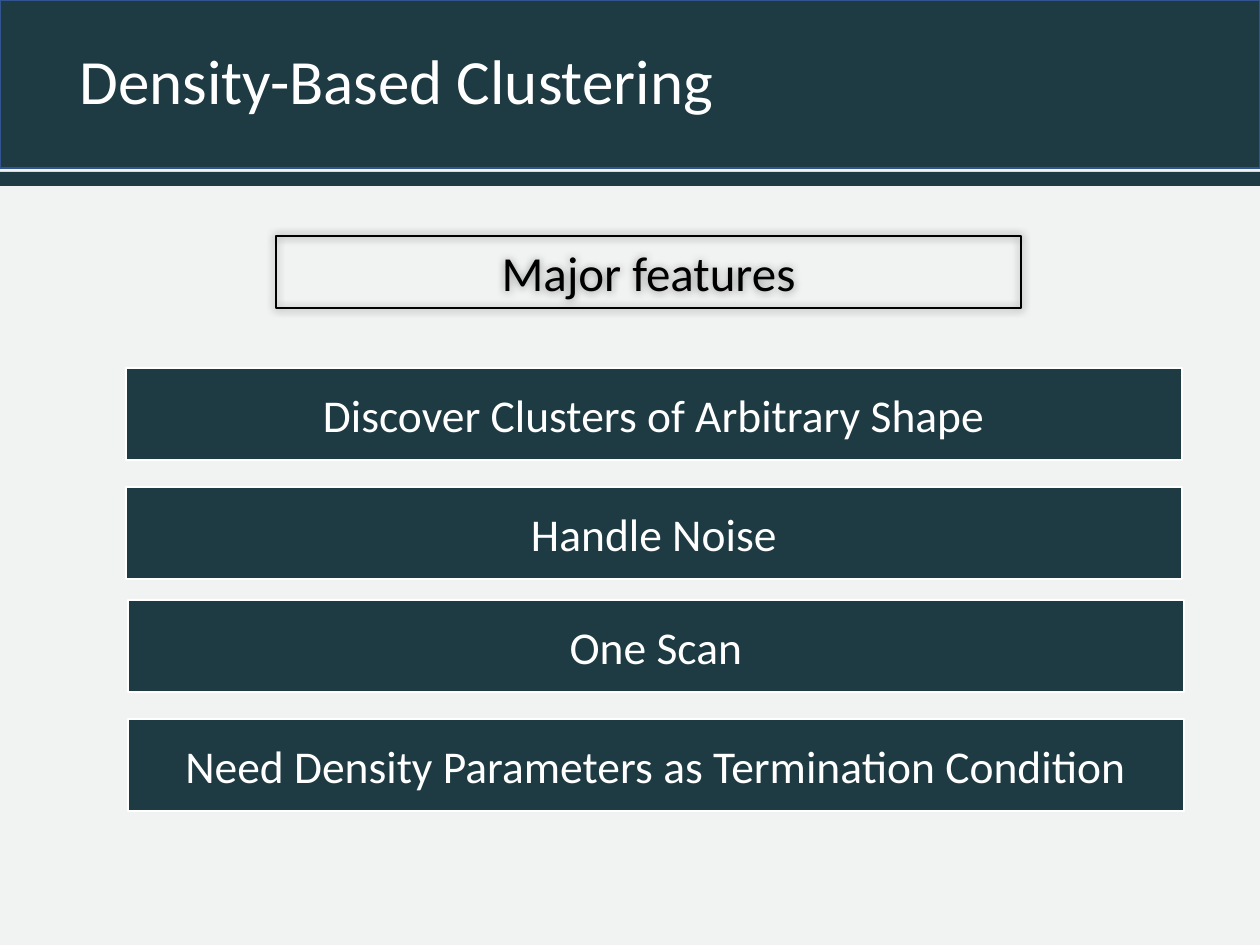
from lxml import etree
from pptx import Presentation
from pptx.dml.color import RGBColor
from pptx.enum.shapes import MSO_SHAPE
from pptx.enum.text import MSO_ANCHOR, MSO_AUTO_SIZE, PP_ALIGN
from pptx.oxml.ns import qn
from pptx.util import Pt

RECT = MSO_SHAPE.RECTANGLE
MIDDLE = MSO_ANCHOR.MIDDLE
LEFT, CENTER = PP_ALIGN.LEFT, PP_ALIGN.CENTER
TITLE_ONLY = 5

TEAL = RGBColor(0x1E, 0x3A, 0x42)
BLUE = RGBColor(0x32, 0x54, 0x91)
PALE = RGBColor(0xF1, 0xF3, 0xF3)
WHITE = RGBColor(0xFF, 0xFF, 0xFF)
BLACK = RGBColor(0, 0, 0)

SCALE = 914400 / 126
FONT = "Calibri"

# Left, top and label of each feature
FEATURES = [
    (126, 368, "Discover Clusters of Arbitrary Shape"),
    (126, 487, "Handle Noise"),
    (128, 600, "One Scan"),
    (128, 719, "Need Density Parameters as Termination Condition"),
]


def px(n):
    return round(n * SCALE)


def add_box(slide, left, top, width, height, fill=None, line=None, weight=1):
    box = slide.shapes.add_shape(RECT, px(left), px(top), px(width), px(height))
    box.shadow.inherit = False
    if fill is None:
        box.fill.background()
    else:
        box.fill.solid()
        box.fill.fore_color.rgb = fill
    if line is None:
        box.line.fill.background()
    else:
        box.line.color.rgb = line
        box.line.width = Pt(weight)
    return box


def set_text(shape, text, size, color, align=CENTER):
    frame = shape.text_frame
    frame.text = text
    frame.word_wrap = True
    frame.auto_size = MSO_AUTO_SIZE.NONE
    frame.vertical_anchor = MIDDLE
    para = frame.paragraphs[0]
    para.alignment = align
    para.font.name = FONT
    para.font.size = Pt(size)
    para.font.color.rgb = color
    return para


def add_glow(shape):
    """Soft black shadow on all sides."""
    effects = shape._element.spPr.find(qn("a:effectLst"))
    shadow = etree.SubElement(effects, qn("a:outerShdw"), blurRad=str(Pt(5)),
                              dist="0", dir="0", algn="ctr", rotWithShape="0")
    color = etree.SubElement(shadow, qn("a:srgbClr"), val=str(BLACK))
    etree.SubElement(color, qn("a:alpha"), val="40000")


def add_header(slide, text):
    add_box(slide, 0, 0, 1260, 168, TEAL, BLUE)
    add_box(slide, 0, 172, 1260, 14, TEAL)
    title = slide.shapes.title
    title.left, title.top = px(67), px(0)
    title.width, title.height = px(1193), px(168)
    set_text(title, text, 36, WHITE, LEFT).line_spacing = 0.9
    # Bring the title in front of the band
    slide.shapes._spTree.append(title._element)


def add_feature(slide, left, top, text):
    bar = add_box(slide, left, top, 1056, 92, TEAL, WHITE)
    set_text(bar, text, 26, WHITE)


def main():
    prs = Presentation()
    prs.slide_width, prs.slide_height = px(1260), px(945)
    slide = prs.slides.add_slide(prs.slide_layouts[TITLE_ONLY])
    slide.background.fill.solid()
    slide.background.fill.fore_color.rgb = PALE

    # Header
    add_header(slide, "Density-Based Clustering")

    # Subheading
    label = add_box(slide, 276, 236, 745, 72, line=BLACK, weight=1.5)
    set_text(label, "Major features", 28, BLACK)
    add_glow(label)

    # Feature bars
    for left, top, text in FEATURES:
        add_feature(slide, left, top, text)

    prs.save("out.pptx")


if __name__ == "__main__":
    main()
